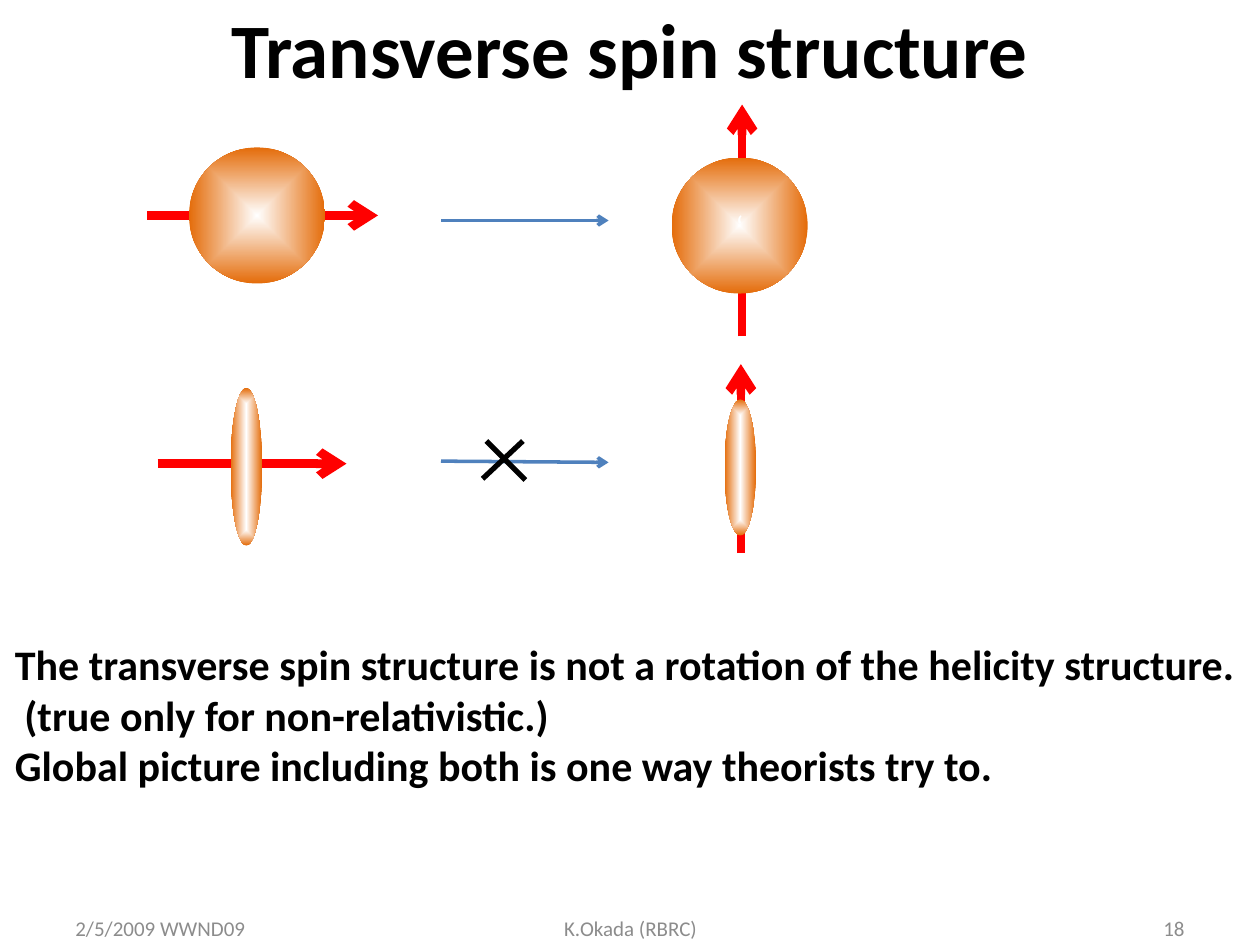
from lxml import etree
from pptx import Presentation
from pptx.dml.color import RGBColor
from pptx.enum import shapes, text
from pptx.oxml import parse_xml
from pptx.oxml.ns import nsdecls, qn
from pptx.util import Inches, Pt


def color(hex_string):
    return RGBColor.from_string(hex_string)


def write(shape, lines, align, anchor, font_format):
    frame = shape.text_frame
    frame.vertical_anchor = anchor
    for index, line in enumerate(lines):
        paragraph = frame.paragraphs[0] if index == 0 else frame.add_paragraph()
        paragraph.alignment = align
        run = paragraph.add_run()
        run.text = line
        for name, value in font_format.items():
            if name == "color":
                run.font.color.rgb = color(value)
            else:
                setattr(run.font, name, value)


presentation = Presentation()
presentation.slide_width = Inches(10)
presentation.slide_height = Inches(7.5)
slide = presentation.slides.add_slide(presentation.slide_layouts[6])

LEFT, CENTER, RIGHT = text.PP_ALIGN.LEFT, text.PP_ALIGN.CENTER, text.PP_ALIGN.RIGHT
TOP, MIDDLE = text.MSO_ANCHOR.TOP, text.MSO_ANCHOR.MIDDLE
RED, BLUE, BLACK = "FF0000", "4F81BD", "000000"

title_font = {"name": "Calibri", "size": Pt(44), "bold": True, "color": BLACK}
body_font = {"name": "Calibri", "size": Pt(24), "bold": True, "color": BLACK}
footer_font = {"name": "Calibri", "size": Pt(12), "color": "8C8C8C"}
mark_font = {"name": "Calibri", "size": Pt(18), "color": "FFFFFF"}

# Title, footer and conclusion
conclusion = [
    "The transverse spin structure is not a rotation of the helicity structure.",
    " (true only for non-relativistic.)",
    "Global picture including both is one way theorists try to.",
]
text_boxes = [
    ((0.5, -0.25, 9, 1.25), ["Transverse spin structure"], CENTER, MIDDLE, True, title_font),
    ((0.5, 7.17, 2.33, 0.4), ["2/5/2009 WWND09"], LEFT, MIDDLE, True, footer_font),
    ((3.42, 7.17, 3.17, 0.4), ["K.Okada (RBRC)"], CENTER, MIDDLE, True, footer_font),
    ((7.17, 7.17, 2.33, 0.4), ["18"], RIGHT, MIDDLE, True, footer_font),
    ((0.02, 5.02, 9.98, 1.31), conclusion, LEFT, TOP, False, body_font),
]
for box, lines, align, anchor, wrap, font_format in text_boxes:
    text_box = slide.shapes.add_textbox(*map(Inches, box))
    text_box.text_frame.word_wrap = wrap
    write(text_box, lines, align, anchor, font_format)

# Spin arrows behind the nucleons, rotation arrows, and the cross
lines = [
    ((1.17, 1.71, 3, 1.71), RED, 5, True),
    ((5.89, 2.67, 5.89, 0.83), RED, 5, True),
    ((1.25, 3.68, 2.75, 3.68), RED, 5, True),
    ((5.88, 4.39, 5.88, 2.89), RED, 5, True),
    ((3.5, 1.75, 4.83, 1.75), BLUE, 2, True),
    ((3.5, 3.66, 4.83, 3.67), BLUE, 2, True),
    ((3.86, 3.5, 4.17, 3.81), BLACK, 3, False),
    ((3.83, 3.8, 4.15, 3.5), BLACK, 3, False),
]
for ends, line_color, width, has_head in lines:
    connector = slide.shapes.add_connector(shapes.MSO_CONNECTOR.STRAIGHT, *map(Inches, ends))
    connector.line.color.rgb = color(line_color)
    connector.line.width = Pt(width)
    properties = connector._element.spPr
    if has_head:
        etree.SubElement(properties.find(qn("a:ln")), qn("a:tailEnd"), type="arrow")
    etree.SubElement(properties, qn("a:effectLst"))

# Nucleons: round at rest, flattened when relativistic
nucleons = [
    ((1.5, 1.17, 1.08, 1.08), ""),
    ((5.33, 1.25, 1.08, 1.08), "‘"),
    ((1.83, 3.08, 0.25, 1.25), ""),
    ((5.75, 3.17, 0.25, 1.08), ""),
]
for box, mark in nucleons:
    nucleon = slide.shapes.add_shape(shapes.MSO_SHAPE.OVAL, *map(Inches, box))
    nucleon.shadow.inherit = False
    nucleon.line.fill.background()
    nucleon.fill.gradient()
    for stop, stop_color in zip(nucleon.fill.gradient_stops, ("FFFFFF", "E46C0A")):
        stop.color.rgb = color(stop_color)
    gradient = nucleon._element.spPr.find(qn("a:gradFill"))
    gradient.replace(gradient.find(qn("a:lin")), parse_xml(
        f'<a:path {nsdecls("a")} path="shape">'
        '<a:fillToRect l="50000" t="50000" r="50000" b="50000"/></a:path>'))
    if mark:
        write(nucleon, [mark], CENTER, MIDDLE, mark_font)

presentation.save("out.pptx")
